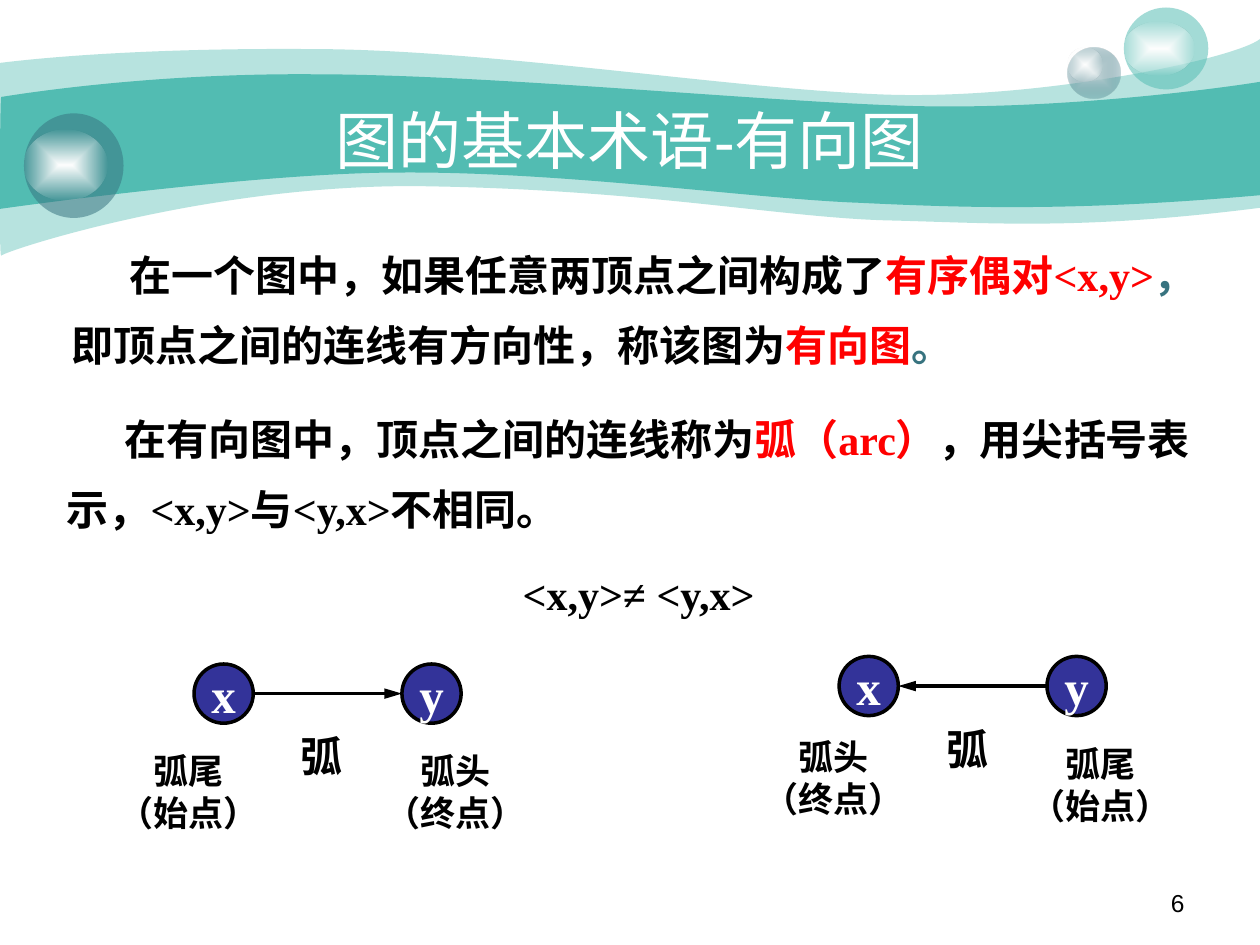
from dataclasses import dataclass

from lxml.etree import SubElement
from pptx import Presentation
from pptx.dml.color import RGBColor
from pptx.enum.shapes import MSO_CONNECTOR, MSO_SHAPE
from pptx.enum.text import MSO_ANCHOR, PP_ALIGN
from pptx.oxml.ns import qn
from pptx.util import Inches, Pt


@dataclass(frozen=True)
class Theme:
    """Colours, fonts and type sizes of the slide."""
    teal: str = "52BCB2"
    slate: str = "37737F"
    mist: str = "CCDBDE"
    white: str = "FFFFFF"
    black: str = "000000"
    red: str = "FF0000"
    navy: str = "333399"
    sans: str = "Arial"
    serif: str = "Times New Roman"
    title: int = 36
    node: int = 28
    body: int = 24
    label: int = 20
    page: int = 14


T = Theme()


def rgb(code):
    """Turn a hex code into a colour."""
    return RGBColor.from_string(code)


def fade(color, alpha):
    """Set the opacity, in percent, of a colour element."""
    SubElement(color, qn("a:alpha"), val=str(alpha * 1000))


def paint(shape, code, alpha=100):
    """Give a shape a plain fill and no line or shadow."""
    shape.shadow.inherit = False
    shape.fill.solid()
    shape.fill.fore_color.rgb = rgb(code)
    shape.line.fill.background()
    if alpha < 100:
        fade(shape._element.spPr.find(qn("a:solidFill"))[0], alpha)


def glow(shape, core, rim, alpha):
    """Fill a shape with a gradient from its core to a clear rim."""
    paint(shape, core)
    shape.fill.gradient()
    for stop, code in zip(shape.fill.gradient_stops, (core, rim)):
        stop.color.rgb = rgb(code)
    grad = shape._element.spPr.find(qn("a:gradFill"))
    fade(grad.find(qn("a:gsLst"))[-1][0], alpha)
    grad.remove(grad.find(qn("a:lin")))
    ring = SubElement(grad, qn("a:path"), path="rect")
    SubElement(ring, qn("a:fillToRect"), l="50000", t="50000", r="50000", b="50000")


def write(shape, *lines, size=T.body, font=T.sans, color=T.black, bold=True,
          align=PP_ALIGN.CENTER, anchor=MSO_ANCHOR.TOP, wrap=True, space=None, indent=0):
    """Write lines, each a string or a list of text and colour pairs."""
    frame = shape.text_frame
    frame.word_wrap = wrap
    frame.vertical_anchor = anchor
    for i, line in enumerate(lines):
        para = frame.add_paragraph() if i else frame.paragraphs[0]
        para.alignment = align
        para.line_spacing = space
        if indent:
            para._p.get_or_add_pPr().set("indent", str(Inches(indent)))
        for text, code in [(line, color)] if isinstance(line, str) else line:
            run = para.add_run()
            run.text = text
            run.font.size = Pt(size)
            run.font.name = font
            run.font.bold = bold
            run.font.color.rgb = rgb(code)


def note(slide, box, *lines, **form):
    """Add a text box."""
    write(slide.shapes.add_textbox(*map(Inches, box)), *lines, **form)


def oval(slide, box):
    """Add an ellipse."""
    return slide.shapes.add_shape(MSO_SHAPE.OVAL, *map(Inches, box))


def wave(slide, top, base, alpha=100):
    """Draw a band between two chains of cubic curves."""
    dots = [(Inches(x), Inches(y)) for x, y in top + base]
    pen = slide.shapes.build_freeform(*dots[0])
    pen.add_line_segments(dots[1:])
    shape = pen.convert_to_shape()
    paint(shape, T.teal, alpha)
    track = shape._element.spPr.find(".//" + qn("a:path"))
    knots = track.findall(qn("a:lnTo"))
    del knots[len(top) - 1]
    for head, *rest in zip(knots[::3], knots[1::3], knots[2::3]):
        head.tag = qn("a:cubicBezTo")
        for knot in rest:
            head.append(knot[0])
            track.remove(knot)


def ball(slide, box, shine, code, alpha):
    """Draw a tinted ball with a highlight at its left."""
    paint(oval(slide, box), code, alpha)
    glow(oval(slide, shine), T.white, T.white, 0)


def banner(slide, box):
    """Draw the waves, the balls and the title in its box."""
    wave(slide,
         [(0, 0.5), (0.24, 0.47), (1.07, 0.38), (2.47, 0.39), (3.86, 0.39),
          (5.75, 0.7), (6.99, 0.75), (8.22, 0.8), (9.8, 0.47), (10, 0.31)],
         [(10, 1.65), (8.58, 1.83), (7.87, 1.77), (7.05, 1.75), (6.22, 1.73),
          (5.15, 1.51), (3.43, 1.48), (1.72, 1.44), (0.04, 1.99), (0.01, 2.03),
          (-0.01, 2.08), (0, 0.75), (0, 0.5)], alpha=41)
    wave(slide,
         [(0.01, 0.77), (0.02, 0.77), (1.1, 0.58), (2.48, 0.59), (3.86, 0.59),
          (5.95, 0.8), (7.18, 0.84), (8.41, 0.88), (9.76, 0.69), (10, 0.65)],
         [(10, 1.55), (8.53, 1.68), (7.65, 1.65), (6.82, 1.61), (5.99, 1.58),
          (4.47, 1.36), (3.17, 1.37), (2.03, 1.37), (-0.02, 1.66), (-0.01, 1.66),
          (0, 1.66), (0, 0.77), (0.01, 0.77)])
    glow(oval(slide, (8.47, 0.38, 0.42, 0.4)), T.mist, T.slate, 31)
    glow(oval(slide, (8.47, 0.38, 0.28, 0.27)), T.white, T.white, 0)
    ball(slide, (8.92, 0.06, 0.67, 0.65), (8.92, 0.17, 0.56, 0.43), T.teal, 53)
    ball(slide, (0.19, 0.9, 0.79, 0.83), (0.19, 1.03, 0.66, 0.56), T.slate, 53)
    note(slide, box, "图的基本术语-有向图", size=T.title, color=T.white, bold=False,
         anchor=MSO_ANCHOR.MIDDLE)


def prose(slide, box, *runs):
    """Write one indented paragraph of the definition."""
    note(slide, box, list(runs), font=T.serif, align=PP_ALIGN.LEFT, space=1.4, indent=0.46)


def arrow(slide, start, end, y):
    """Draw a level arrow."""
    line = slide.shapes.add_connector(MSO_CONNECTOR.STRAIGHT,
                                      *map(Inches, (start, y, end, y)))
    line.line.color.rgb = rgb(T.black)
    line.line.width = Pt(2)
    SubElement(line.line._get_or_add_ln(), qn("a:tailEnd"), type="triangle", w="med", len="lg")
    SubElement(line._element.spPr, qn("a:effectLst"))


def arc(slide, box, drop=0.63, back=False):
    """Draw an arc between x and y, with the names of its ends below."""
    left, top, width, size = box
    far = left + width - size
    for x, name in ((left, "x"), (far, "y")):
        node = oval(slide, (x, top, size, size))
        paint(node, T.navy)
        node.line.color.rgb = rgb(T.black)
        node.line.width = Pt(2)
        write(node, name, size=T.node, font=T.serif, color=T.white,
              anchor=MSO_ANCHOR.MIDDLE, wrap=False)
    ends = (left + size, far)
    arrow(slide, *(ends[::-1] if back else ends), top + size / 2)
    note(slide, (left + 0.62, top + 0.48, 0.79, 0.5), "弧")
    roles = [("弧尾", "（始点）"), ("弧头", "（终点）")]
    spots = [(left - 0.87, top + drop), (left + 1.25, top + 0.63)]
    for spot, role in zip(spots, roles[::-1] if back else roles):
        note(slide, (*spot, 1.65, 0.77), *role, size=T.label)


def main():
    """Build and save the slide."""
    deck = Presentation()
    deck.slide_width, deck.slide_height = Inches(10), Inches(7.5)
    slide = deck.slides.add_slide(deck.slide_layouts[6])
    banner(slide, (0.75, 0.83, 8.5, 0.55))
    note(slide, (7.17, 7, 2.33, 0.35), "6", size=T.page, bold=False, align=PP_ALIGN.RIGHT)
    prose(slide, (0.47, 1.77, 9.41, 1.22),
          ("在一个图中，如果任意两顶点之间构成了", T.black), ("有序偶对<x,y>", T.red),
          ("，", T.slate), ("即顶点之间的连线有方向性，称该图为", T.black),
          ("有向图", T.red), ("。", T.slate))
    prose(slide, (0.43, 3.07, 9.37, 1.22),
          ("在有向图中，顶点之间的连线称为", T.black), ("弧（arc）", T.red),
          ("，用尖括号表示，<x,y>与<y,x>不相同。", T.black))
    arc(slide, (1.54, 5.27, 2.12, 0.47))
    arc(slide, (6.66, 5.21, 2.12, 0.47), drop=0.58, back=True)
    note(slide, (4.05, 4.46, 2.14, 0.5), "<x,y>≠ <y,x>", font=T.serif,
         align=PP_ALIGN.LEFT, wrap=False)
    deck.save("out.pptx")


if __name__ == "__main__":
    main()
